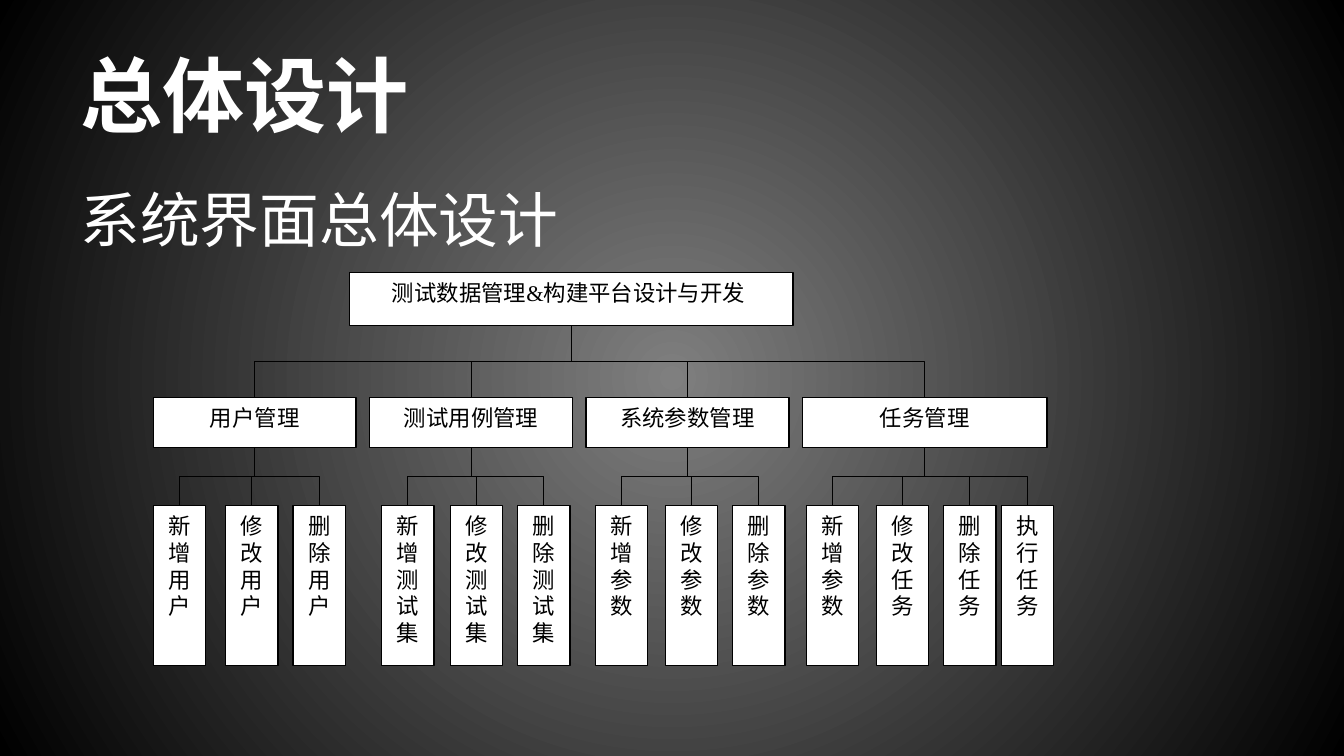
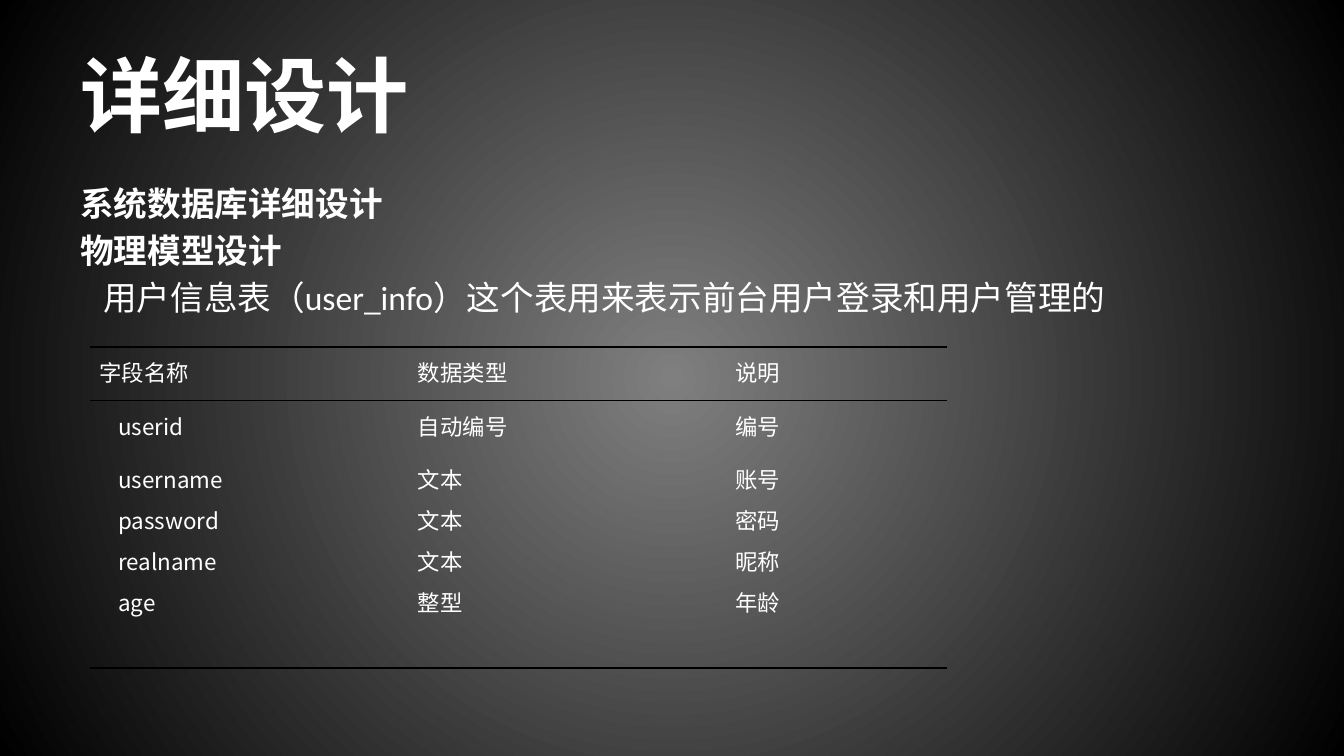
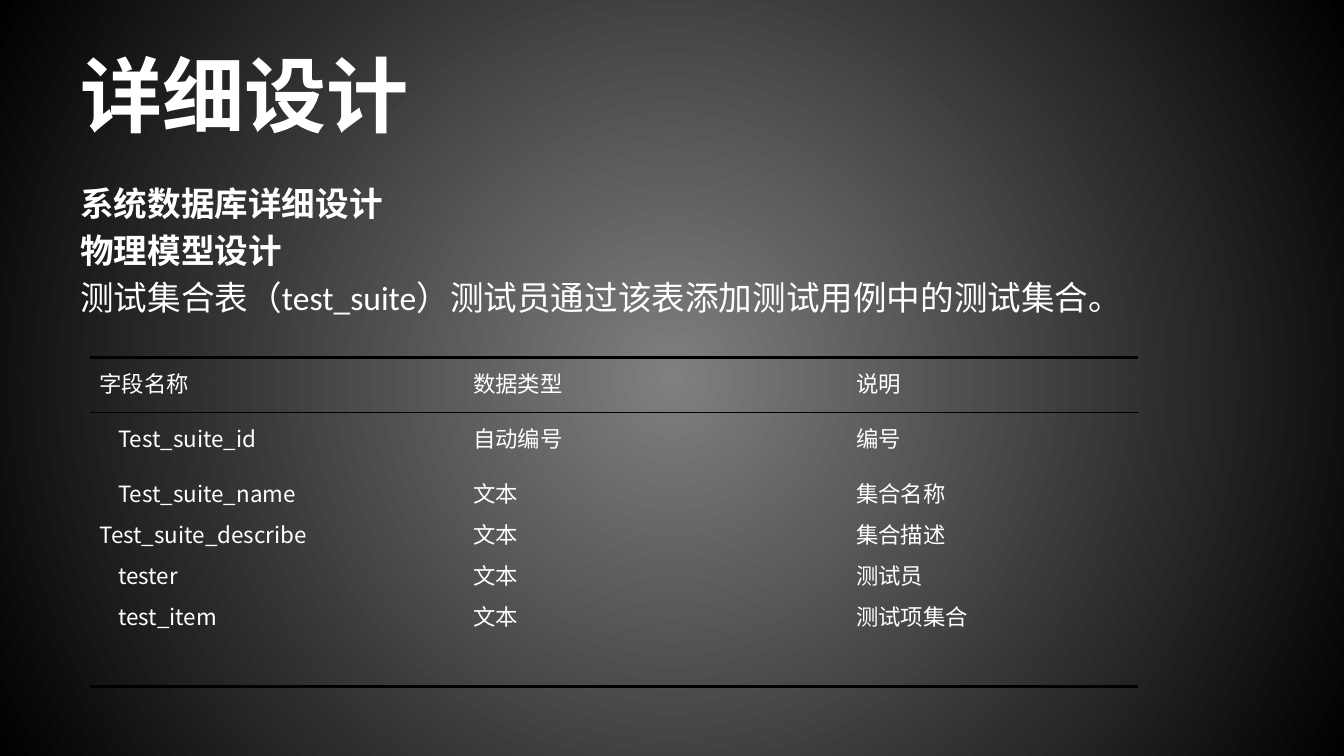
from pptx import Presentation
from pptx.dml.color import RGBColor
from pptx.enum.shapes import MSO_CONNECTOR, MSO_SHAPE
from pptx.enum.text import MSO_ANCHOR, PP_ALIGN
from pptx.oxml import parse_xml
from pptx.oxml.ns import nsdecls, qn
from pptx.util import Inches, Pt

WHITE = RGBColor(255, 255, 255)
BLACK = RGBColor(0, 0, 0)
GREY = RGBColor(0x7F, 0x7F, 0x7F)
SANS, SERIF, MONO = "Calibri", "Times New Roman", "Noto Sans CJK SC"
PLAIN = "{2D5ABB26-0587-4C30-8999-92F81FD0307C}"
RULES = [(1.5, 1), (1, 0), (0, 1.5)]


class Deck:
    """Holds the deck style and the current slide."""

    def __init__(self):
        self.prs = Presentation()
        self.prs.slide_width = Inches(10)
        self.prs.slide_height = Inches(10) * 9 // 16
        master = self.prs.slide_master
        fill = master.background.fill
        fill.gradient()
        for stop, color in zip(fill.gradient_stops, (GREY, BLACK)):
            stop.color.rgb = color
        line = master.element.find(".//" + qn("a:lin"))
        line.getparent().replace(line, parse_xml(
            f'<a:path {nsdecls("a")} path="circle"><a:fillToRect '
            'l="50000" t="50000" r="50000" b="50000"/></a:path>'))

    def start(self, title):
        self.slide = self.prs.slides.add_slide(self.prs.slide_layouts[6])
        self.shapes = self.slide.shapes
        frame = self.text(0.23, 0.94)
        frame.vertical_anchor = MSO_ANCHOR.MIDDLE
        self.style(frame.paragraphs[0], title, 44, SANS, bold=True)

    def text(self, top, height):
        box = self.shapes.add_textbox(Inches(0.5), Inches(top), Inches(9), Inches(height))
        box.text_frame.word_wrap = True
        return box.text_frame

    def style(self, para, text, size, face, color=WHITE, bold=False):
        para.text = text
        font = para.font
        font.size, font.name, font.bold = Pt(size), face, bold
        font.color.rgb = color

    def indent(self, para, first, left=0):
        props = para._p.get_or_add_pPr()
        props.set("marL", str(Inches(left)))
        props.set("indent", str(Inches(first)))

    def body(self, lines, size, heads=0, inset=0):
        frame = self.text(1.31, 3.71)
        for i, line in enumerate(lines):
            para = frame.add_paragraph() if i else frame.paragraphs[0]
            self.style(para, line, size, SANS, bold=i < heads)
            para.space_before = Pt(size * 0.2)
            self.indent(para, -0.38 + (inset if i >= heads else 0), 0.38)

    def box(self, text, left, top, width, height):
        shape = self.shapes.add_shape(
            MSO_SHAPE.RECTANGLE, Inches(left), Inches(top), Inches(width), Inches(height))
        shape.shadow.inherit = False
        shape.fill.solid()
        shape.fill.fore_color.rgb = WHITE
        shape.line.color.rgb = BLACK
        shape.line.width = Pt(0.75)
        frame = shape.text_frame
        frame.word_wrap = True
        frame.vertical_anchor = MSO_ANCHOR.TOP
        para = frame.paragraphs[0]
        self.style(para, text, 12, SERIF, BLACK)
        para.alignment = PP_ALIGN.CENTER
        return shape

    def link(self, upper, lower):
        x1, x2 = (s.left + s.width // 2 for s in (upper, lower))
        y1, y2 = upper.top + upper.height, lower.top
        midx, midy = (x1 + x2) // 2, (y1 + y2) // 2
        halfw, halfh = (y2 - y1) // 2, abs(x2 - x1) // 2
        side = 1 if x2 > x1 else -1
        line = self.shapes.add_connector(
            MSO_CONNECTOR.ELBOW, midx + side * halfw, midy - halfh,
            midx - side * halfw, midy + halfh)
        line.line.color.rgb = BLACK
        line.line.width = Pt(0.5)
        props = line.element.spPr
        props.find(qn("a:xfrm")).set("rot", str((270 if side > 0 else 90) * 60000))
        props.append(parse_xml(f'<a:effectLst {nsdecls("a")}/>'))

    def edge(self, cell, side, width):
        paint = f'<a:solidFill><a:srgbClr val="{BLACK}"/></a:solidFill>'
        cell._tc.get_or_add_tcPr().insert(0, parse_xml(
            f'<a:{side} {nsdecls("a")} w="{Pt(width)}">'
            f'{paint if width else "<a:noFill/>"}</a:{side}>'))

    def table(self, top, widths, heights, rows, indents, flush=()):
        holder = self.shapes.add_table(
            len(rows), len(widths), Inches(0.67), Inches(top),
            Inches(sum(widths)), Inches(sum(heights)))
        grid = holder.table
        grid.first_row = grid.horz_banding = False
        holder.element.find(".//" + qn("a:tableStyleId")).text = PLAIN
        for col, width in zip(grid.columns, widths):
            col.width = Inches(width)
        for r, (row, height, (over, under)) in enumerate(zip(rows, heights, RULES)):
            grid.rows[r].height = Inches(height)
            for c, lines in enumerate(row):
                cell = grid.cell(r, c)
                cell.fill.background()
                cell.margin_left = cell.margin_right = Inches(0.07)
                cell.margin_top = cell.margin_bottom = 0
                frame = cell.text_frame
                for i, line in enumerate(lines.split()):
                    para = frame.add_paragraph() if i else frame.paragraphs[0]
                    self.style(para, line, 12, MONO if r and not c else SERIF)
                    para.alignment = PP_ALIGN.JUSTIFY
                    para.line_spacing = Pt(22)
                    self.indent(para, 0 if line in flush else indents[c])
                for side, size in (("lnB", under), ("lnT", over), ("lnR", 0), ("lnL", 0)):
                    self.edge(cell, side, size)


HEAD = ("字段名称", "数据类型", "说明")
INTRO = ["系统数据库详细设计", "物理模型设计"]
TREE = [
    ("用户管理", 1.14, 1.51, [("新增用户", 1.14), ("修改用户", 1.68), ("删除用户", 2.18)]),
    ("测试用例管理", 2.75, 1.51,
     [("新增测试集 ", 2.84), ("修改测试集", 3.35), ("删除测试集", 3.85)]),
    ("系统参数管理", 4.36, 1.51, [("新增参数 ", 4.43), ("修改参数", 4.95), ("删除参数", 5.45)]),
    ("任务管理", 5.97, 1.82,
     [("新增参数 ", 6), ("修改任务", 6.52), ("删除任务", 7.02), ("执行任务", 7.45)]),
]

deck = Deck()
deck.start("总体设计")
deck.body(["系统界面总体设计"], 32)
root = deck.box("测试数据管理&构建平台设计与开发 ", 2.6, 2.03, 3.3, 0.39)
pairs = []
for name, left, width, leaves in TREE:
    group = deck.box(name, left, 2.96, width, 0.37)
    pairs.append((root, group))
    for leaf, x in leaves:
        pairs.append((group, deck.box(leaf, x, 3.76, 0.39, 1.19)))
for upper, lower in pairs:
    deck.link(upper, lower)

deck.start("详细设计")
deck.body(INTRO + ["用户信息表（user_info）这个表用来表示前台用户登录和用户管理的"], 18, 2, 0.17)
deck.table(2.58, (2.04, 2.11, 2.23), (0.4, 0.4, 1.59), [
    HEAD,
    ("userid", "自动编号", "编号"),
    ("username password realname age", "文本 文本 文本 整型", "账号 密码 昵称 年龄"),
], (0.14, 0.33, 0.58), HEAD[:1])

deck.start("详细设计")
deck.body(INTRO + ["测试集合表（test_suite）测试员通过该表添加测试用例中的测试集合。"], 18, 2)
deck.table(2.66, (2.45, 2.85, 2.5), (0.41, 0.41, 1.63), [
    HEAD,
    ("Test_suite_id", "自动编号", "编号"),
    ("Test_suite_name Test_suite_describe tester test_item",
     "文本 文本 文本 文本", "集合名称 集合描述 测试员 测试项集合"),
], (0.14, 0.33, 0.33), (HEAD[0], "Test_suite_describe"))

deck.prs.save("out.pptx")
